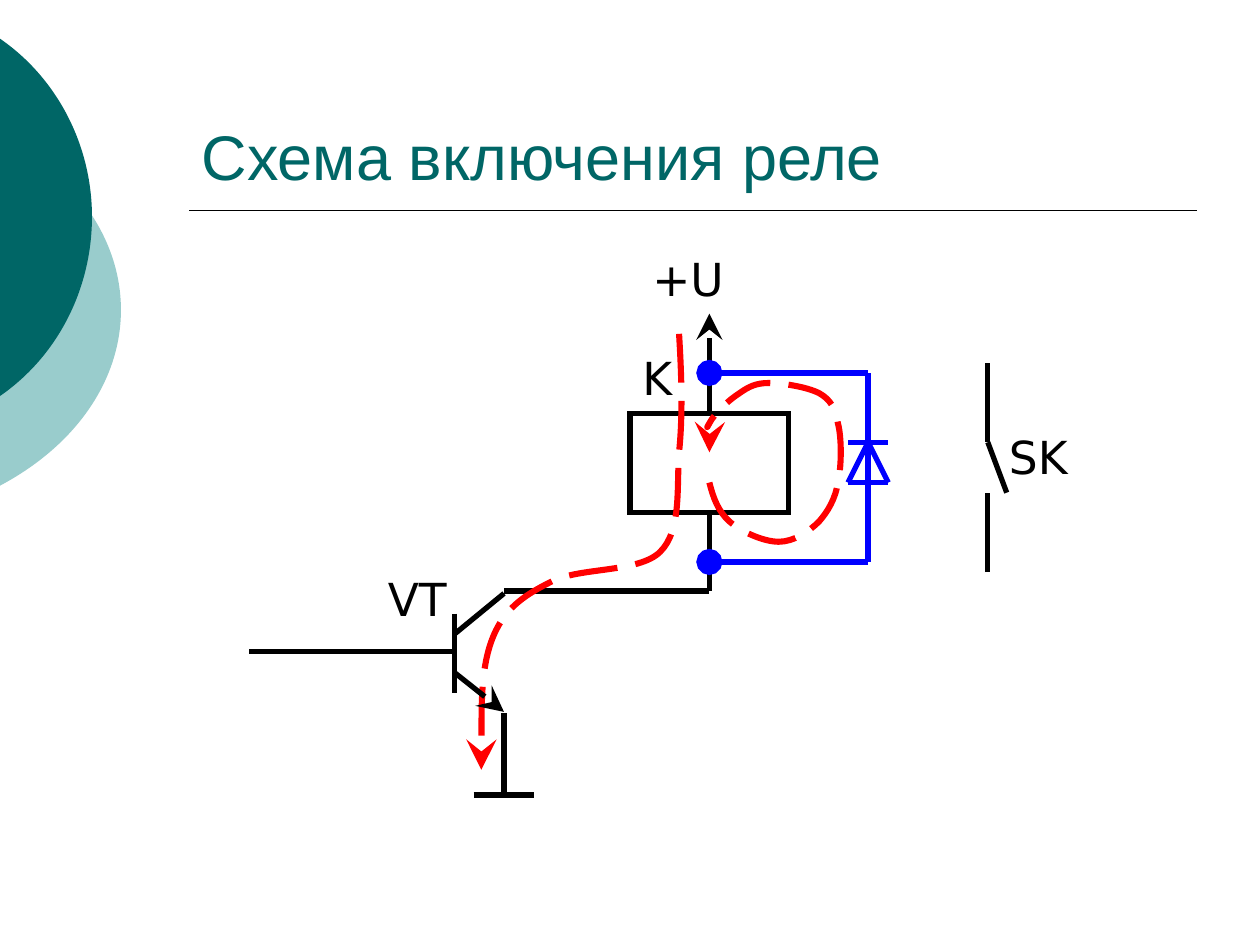
from lxml import etree
from pptx import Presentation
from pptx.dml.color import RGBColor
from pptx.enum.dml import MSO_LINE
from pptx.enum.shapes import MSO_CONNECTOR, MSO_SHAPE
from pptx.enum.text import MSO_ANCHOR, PP_ALIGN
from pptx.oxml.ns import qn
from pptx.util import Pt

STRAIGHT = MSO_CONNECTOR.STRAIGHT
RECTANGLE = MSO_SHAPE.RECTANGLE
LONG_DASH = MSO_LINE.LONG_DASH
BOTTOM = MSO_ANCHOR.BOTTOM
TOP = MSO_ANCHOR.TOP
LEFT = PP_ALIGN.LEFT

PX = 9144
BLACK, BLUE, RED, TEAL, PALE_TEAL = "000000", "0000FF", "FF0000", "006666", "99CCCC"
color = RGBColor.from_string

presentation = Presentation()
presentation.slide_width = 1000 * PX
presentation.slide_height = 750 * PX
slide = presentation.slides.add_slide(presentation.slide_layouts[5])
shapes = slide.shapes


def add_wire(x1, y1, x2, y2, line_color=BLACK, width=3):
    wire = shapes.add_connector(STRAIGHT, x1 * PX, y1 * PX, x2 * PX, y2 * PX)
    wire.line.color.rgb = color(line_color)
    wire.line.width = Pt(width)
    etree.SubElement(wire._element.spPr, qn("a:effectLst"))
    return wire


def add_curve(box, start, beziers, close=False):
    left, top, width, height = box
    builder = shapes.build_freeform(left, top, scale=PX)
    builder.add_line_segments([(left + width, top + height)], close=False)
    curve = builder.convert_to_shape()
    curve.shadow.inherit = False
    outline = next(curve._element.iter(qn("a:path")))
    for segment in list(outline):
        outline.remove(segment)
    outline.set("w", str(width))
    outline.set("h", str(height))
    commands = [("a:moveTo", start)] + [("a:cubicBezTo", bezier) for bezier in beziers]
    for tag, numbers in commands:
        command = etree.SubElement(outline, qn(tag))
        for x, y in zip(numbers[::2], numbers[1::2]):
            etree.SubElement(command, qn("a:pt"), x=str(x - left), y=str(y - top))
    if close:
        etree.SubElement(outline, qn("a:close"))
    return curve


discs = [
    (PALE_TEAL, (-354, 75, 450, 342), (-1, 106),
     [(60, 138, 96, 190, 96, 246), (96, 302, 60, 354, -1, 386)]),
    (TEAL, (-265, 0, 338, 345), (-1, 30),
     [(46, 62, 73, 116, 73, 172), (73, 229, 46, 283, -1, 315)]),
]
for fill_color, box, start, beziers in discs:
    disc = add_curve(box, start, beziers, close=True)
    disc.fill.solid()
    disc.fill.fore_color.rgb = color(fill_color)
    disc.line.fill.background()

add_wire(150, 167, 950, 167, width=1)

title = shapes.title
title.left, title.top, title.width, title.height = 150 * PX, 33 * PX, 800 * PX, 125 * PX
title.text_frame.text = "Схема включения реле"
title.text_frame.vertical_anchor = BOTTOM
title_paragraph = title.text_frame.paragraphs[0]
title_paragraph.alignment = LEFT
title_font = title_paragraph.runs[0].font
title_font.name = "Arial"
title_font.size = Pt(36)
title_font.color.rgb = color(TEAL)

coil = shapes.add_shape(RECTANGLE, 500 * PX, 328 * PX, 126 * PX, 79 * PX)
coil.shadow.inherit = False
coil.fill.solid()
coil.fill.fore_color.rgb = color("FFFFFF")
coil.line.color.rgb = color(BLACK)
coil.line.width = Pt(3)
etree.SubElement(coil._element.spPr.find(qn("a:ln")), qn("a:miter"), lim="800000")

supply = add_wire(563, 249, 563, 328)
supply.end_connect(coil, 0)
coil_output = add_wire(563, 469, 563, 407)
coil_output.end_connect(coil, 2)
add_wire(400, 469, 563, 469)

switch_wires = [(784, 351, 784, 288), (799, 391, 784, 351), (784, 454, 784, 391)]
for wire in switch_wires:
    add_wire(*wire)

arrows = [(supply, "a:headEnd", "stealth")]
for y in (446, 296):
    arrows.append((add_wire(689, y, 563, y, BLUE), "a:tailEnd", "oval"))

diode_wires = [
    (689, 446, 689, 296),
    (673, 351, 705, 351),
    (673, 383, 705, 383),
    (689, 351, 705, 383),
    (689, 351, 673, 383),
]
for wire in diode_wires:
    add_wire(*wire, BLUE)

currents = [
    ((381, 265, 161, 346), (539, 265), [
        (541, 298, 542, 330, 539, 359), (537, 388, 541, 421, 524, 438),
        (507, 455, 459, 450, 437, 462), (415, 473, 399, 484, 390, 509),
        (381, 534, 382, 609, 382, 611),
    ]),
    ((559, 304, 109, 126), (563, 383), [
        (566, 395, 570, 406, 579, 414), (588, 422, 606, 430, 618, 430),
        (630, 430, 642, 422, 650, 414), (657, 406, 663, 396, 665, 383),
        (668, 370, 668, 347, 665, 336), (663, 324, 659, 317, 650, 312),
        (640, 307, 621, 304, 610, 304), (600, 304, 594, 307, 587, 312),
        (579, 317, 567, 328, 563, 336), (559, 343, 563, 357, 563, 359),
    ]),
]
for box, start, beziers in currents:
    current = add_curve(box, start, beziers)
    current.fill.background()
    current.line.color.rgb = color(RED)
    current.line.width = Pt(3.5)
    current.line.dash_style = LONG_DASH
    arrows.append((current, "a:tailEnd", "stealth"))

transistor_wires = [
    (376, 631, 424, 631),
    (361, 487, 361, 550),
    (361, 503, 400, 471),
    (400, 566, 400, 629),
    (198, 517, 361, 517),
]
for wire in transistor_wires:
    add_wire(*wire)
arrows.append((add_wire(400, 565, 361, 534), "a:headEnd", "stealth"))

for shape, end, kind in arrows:
    line = shape._element.spPr.find(qn("a:ln"))
    etree.SubElement(line, qn(end), type=kind, w="lg", len="lg")

labels = [
    ("+U", 508, 194, 126),
    ("K", 500, 273, 63),
    ("SK", 791, 336, 126),
    ("VT", 298, 448, 102),
]
for text, left, top, width in labels:
    label = shapes.add_textbox(left * PX, top * PX, width * PX, 53 * PX)
    label.text_frame.word_wrap = True
    label.text_frame.vertical_anchor = TOP
    label.text_frame.text = text
    font = label.text_frame.paragraphs[0].runs[0].font
    font.name = "DejaVu Sans"
    font.size = Pt(26)
    font.color.rgb = color(BLACK)

presentation.save("out.pptx")
